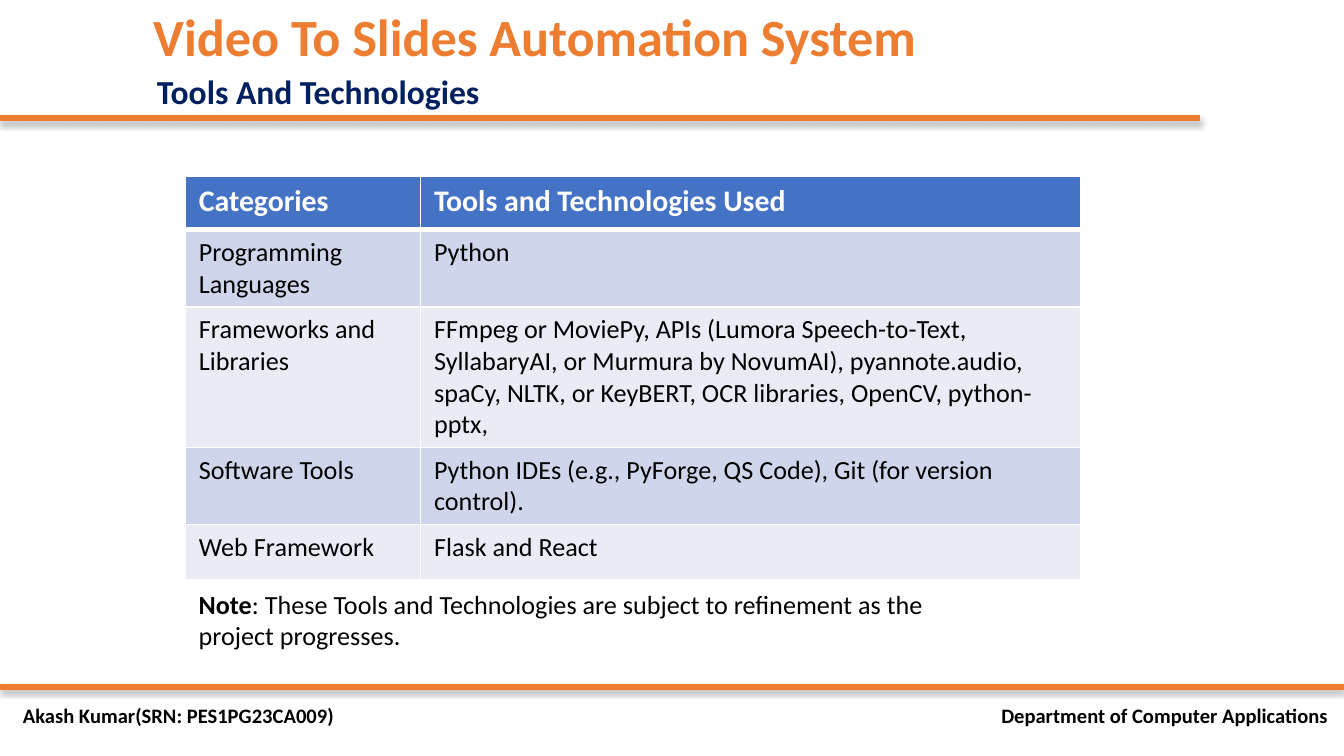
from lxml.etree import fromstring
from pptx import Presentation
from pptx.dml.color import RGBColor
from pptx.enum.shapes import MSO_CONNECTOR
from pptx.enum.text import MSO_ANCHOR, MSO_AUTO_SIZE, PP_ALIGN
from pptx.util import Inches, Pt

# Content
TITLE = "Video To Slides Automation System"
SUBTITLE = "Tools And Technologies"
ROWS = [
    ("Categories", "Tools and Technologies Used"),
    ("Programming Languages", "Python"),
    ("Frameworks and Libraries",
     "FFmpeg or MoviePy, APIs (Lumora Speech-to-Text, SyllabaryAI, or Murmura "
     "by NovumAI), pyannote.audio, spaCy, NLTK, or KeyBERT, OCR libraries, "
     "OpenCV, python-pptx,"),
    ("Software Tools",
     "Python IDEs (e.g., PyForge, QS Code), Git (for version control)."),
    ("Web Framework", "Flask and React"),
]
NOTE = ("Note", ": These Tools and Technologies are subject to refinement "
        "as the project progresses.")
AUTHOR = "Akash Kumar(SRN: PES1PG23CA009)"
DEPARTMENT = "Department of Computer Applications"

# Style
ORANGE, NAVY, BLUE = "ED7D31", "002060", "4472C4"
BLACK, WHITE = "000000", "FFFFFF"
BANDS = ("CFD5EA", "E9EBF5")
SLIDE_WIDTH = 10
COL_WIDTHS = (1.75, 4.91)
ROW_HEIGHTS = (0.4, 0.56, 1.03, 0.56, 0.41)
TABLE_LEFT, TABLE_TOP = 1.38, 1.31
NS = 'xmlns:a="http://schemas.openxmlformats.org/drawingml/2006/main"'


def rgb(color):
    return RGBColor.from_string(color)


def style(run, size, color, bold=False):
    f = run.font
    f.name, f.size, f.bold = "Calibri", Pt(size), bold
    f.color.rgb = rgb(color)


def fill_text(tf, text, size, color, bold=True, inset=(0.07, 0.04)):
    tf.auto_size = MSO_AUTO_SIZE.NONE
    tf.word_wrap = True
    tf.vertical_anchor = MSO_ANCHOR.TOP
    tf.margin_left = tf.margin_right = Inches(inset[0])
    tf.margin_top = tf.margin_bottom = Inches(inset[1])
    p = tf.paragraphs[0]
    p.text = text
    p.alignment = PP_ALIGN.LEFT
    style(p.runs[0], size, color, bold)
    return p


def add_text(s, box, *args, **kwargs):
    tf = s.shapes.add_textbox(*map(Inches, box)).text_frame
    return fill_text(tf, *args, **kwargs)


def add_rule(s, y, width):
    line = s.shapes.add_connector(MSO_CONNECTOR.STRAIGHT, 0, Inches(y),
                                  Inches(width), Inches(y))
    line.line.color.rgb = rgb(ORANGE)
    line.line.width = Pt(3)
    line._element.spPr.append(fromstring(
        f'<a:effectLst {NS}><a:outerShdw blurRad="{Pt(3.1)}" dist="{Pt(1.8)}" '
        f'dir="5400000" rotWithShape="0"><a:srgbClr val="{BLACK}">'
        '<a:alpha val="35000"/></a:srgbClr></a:outerShdw></a:effectLst>'))


def add_borders(cell, widths):
    tcPr = cell._tc.get_or_add_tcPr()
    for i, (side, width) in enumerate(widths.items()):
        tcPr.insert(i, fromstring(
            f'<a:ln{side} {NS} w="{Pt(width)}"><a:solidFill>'
            f'<a:srgbClr val="{WHITE}"/></a:solidFill></a:ln{side}>'))


# Widescreen 16:9 slide
prs = Presentation()
prs.slide_width = Inches(SLIDE_WIDTH)
prs.slide_height = Inches(SLIDE_WIDTH * 9 / 16)
s = prs.slides.add_slide(prs.slide_layouts[5])

# Heading
title = s.shapes.title
title.left, title.top = Inches(1.07), Inches(-0.01)
title.width, title.height = Inches(7.71), Inches(0.98)
fill_text(title.text_frame, TITLE, 28, ORANGE)
add_text(s, (1.07, 0.48, 3.17, 0.4), SUBTITLE, 18, NAVY, inset=(0.1, 0.05))
add_rule(s, 0.88, 8.93)

# Table
table = s.shapes.add_table(
    len(ROWS), len(COL_WIDTHS), Inches(TABLE_LEFT), Inches(TABLE_TOP),
    Inches(sum(COL_WIDTHS)), Inches(sum(ROW_HEIGHTS))).table
for col, width in zip(table.columns, COL_WIDTHS):
    col.width = Inches(width)
for r, (values, height) in enumerate(zip(ROWS, ROW_HEIGHTS)):
    table.rows[r].height = Inches(height)
    header = r == 0
    for c, value in enumerate(values):
        cell = table.cell(r, c)
        cell.text = value
        style(cell.text_frame.paragraphs[0].runs[0], 16 if header else 14,
              WHITE if header else BLACK, header)
        cell.fill.solid()
        cell.fill.fore_color.rgb = rgb(BLUE if header else BANDS[(r - 1) % 2])
        add_borders(cell, {"L": 1, "R": 1, "T": 3 if r == 1 else 1,
                           "B": 3 if header else 1})

# Note
p = add_text(s, (TABLE_LEFT, 4.33, 6.17, 0.57), NOTE[0], 14, BLACK,
             inset=(0.1, 0.05))
rest = p.add_run()
rest.text = NOTE[1]
style(rest, 14, BLACK)

# Footer
add_rule(s, 5.11, SLIDE_WIDTH)
add_text(s, (0.1, 5.19, 6.15, 0.38), AUTHOR, 11, BLACK)
add_text(s, (7.38, 5.19, 6.15, 0.33), DEPARTMENT, 11, BLACK)

prs.save("out.pptx")
